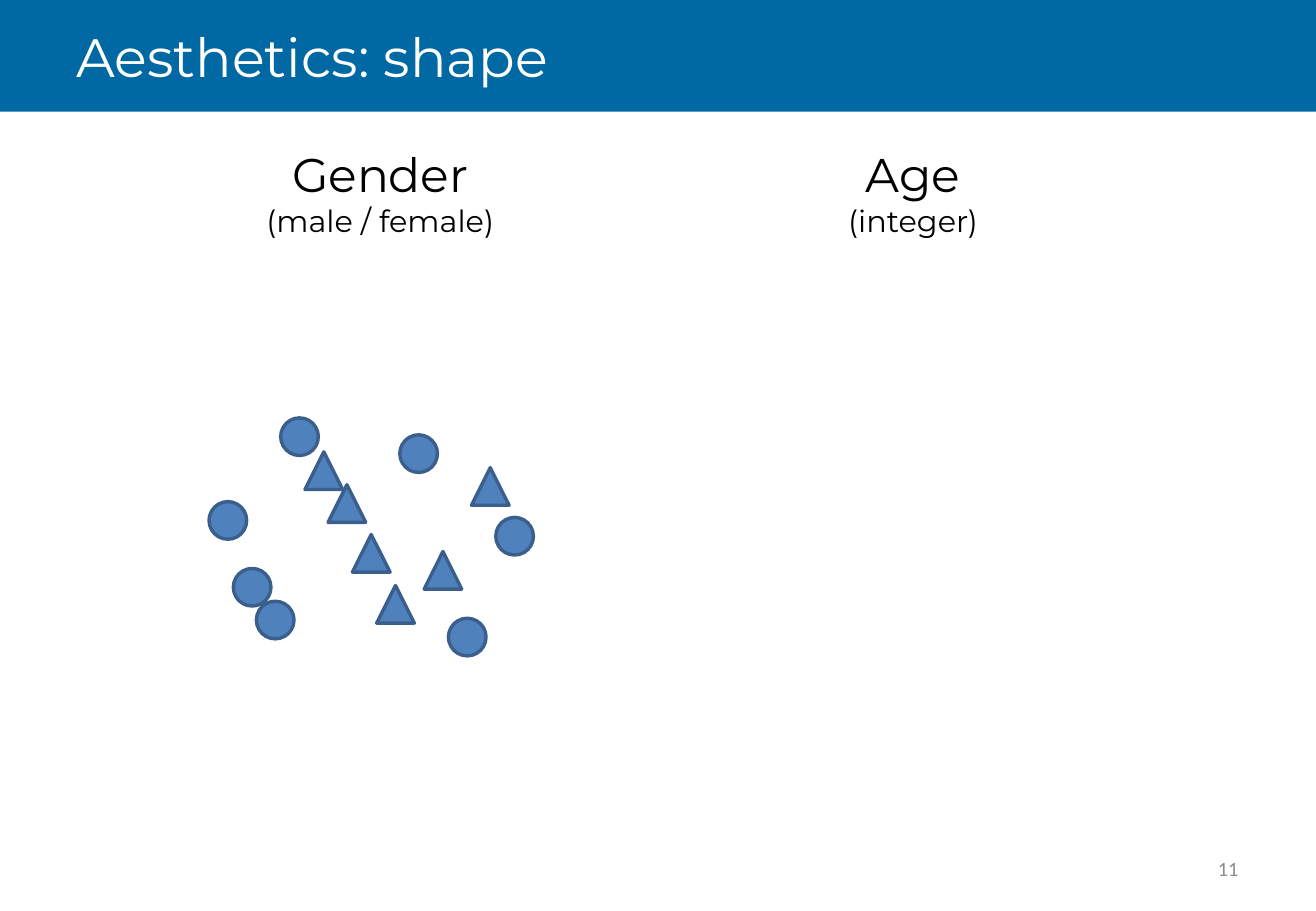
from pptx import Presentation
from pptx.dml.color import RGBColor
from pptx.enum.shapes import MSO_SHAPE
from pptx.enum.text import MSO_ANCHOR, PP_ALIGN
from pptx.util import Emu, Pt

PX = 9144  # 100 px to the inch

BANNER_BLUE = RGBColor(0x00, 0x68, 0xA2)
MARKER_BLUE = RGBColor(0x4F, 0x81, 0xBD)
MARKER_EDGE = RGBColor(0x3A, 0x5F, 0x8C)
WHITE = RGBColor(0xFF, 0xFF, 0xFF)
BLACK = RGBColor(0x00, 0x00, 0x00)
GREY = RGBColor(0x8C, 0x8C, 0x8C)

prs = Presentation()
prs.slide_width = Emu(1083 * PX)
prs.slide_height = Emu(750 * PX)
slide = prs.slides.add_slide(prs.slide_layouts[6])


def add_filled(preset, left, top, width, height, color):
    """Add a flat preset shape without outline or shadow."""
    shape = slide.shapes.add_shape(
        preset, *(Emu(v * PX) for v in (left, top, width, height)))
    shape.shadow.inherit = False
    shape.fill.solid()
    shape.fill.fore_color.rgb = color
    shape.line.fill.background()
    return shape


def add_text(lines, left, top, width, height, color, align=PP_ALIGN.LEFT,
             anchor=MSO_ANCHOR.MIDDLE, font="Montserrat", wrap=True):
    """Add a text box with one paragraph per (text, point size) pair."""
    box = slide.shapes.add_textbox(
        *(Emu(v * PX) for v in (left, top, width, height)))
    frame = box.text_frame
    frame.word_wrap = wrap
    frame.vertical_anchor = anchor
    frame.text = "\n".join(text for text, _ in lines)
    for paragraph, (_, size) in zip(frame.paragraphs, lines):
        paragraph.alignment = align
        run_font = paragraph.runs[0].font
        run_font.name = font
        run_font.size = Pt(size)
        run_font.color.rgb = color


# Title banner and slide number
add_filled(MSO_SHAPE.RECTANGLE, 0, 0, 1083, 92, BANNER_BLUE)
add_text([("Aesthetics: shape", 32)], 53, 0, 975, 92, WHITE)
add_text([("11", 12)], 776, 695, 253, 40, GREY, PP_ALIGN.RIGHT, font="Calibri")

# Variable headings
for variable, values, left, width in [
    ("Gender", "(male / female)", 206, 214),
    ("Age", "(integer)", 686, 131),
]:
    add_text([(variable, 28), (values, 18)], left, 115, width, 88, BLACK,
             PP_ALIGN.CENTER, MSO_ANCHOR.TOP, wrap=False)

# Scatter: one marker per column, each in its own row of a 13 x 13 grid
CIRCLE, TRIANGLE = MSO_SHAPE.OVAL, MSO_SHAPE.ISOSCELES_TRIANGLE
SCATTER_LEFT, SCATTER_TOP = 172, 344
SCATTER_WIDTH, SCATTER_HEIGHT = 236, 165
MARKER_SIZE = 31
markers = [
    (CIRCLE, 5), (CIRCLE, 9), (CIRCLE, 11), (CIRCLE, 0), (TRIANGLE, 2),
    (TRIANGLE, 4), (TRIANGLE, 7), (TRIANGLE, 10), (CIRCLE, 1), (TRIANGLE, 8),
    (CIRCLE, 12), (TRIANGLE, 3), (CIRCLE, 6),
]
steps = len(markers) - 1
for column, (preset, row) in enumerate(markers):
    marker = add_filled(
        preset,
        SCATTER_LEFT + round(column * SCATTER_WIDTH / steps),
        SCATTER_TOP + round(row * SCATTER_HEIGHT / steps),
        MARKER_SIZE, MARKER_SIZE, MARKER_BLUE)
    marker.line.color.rgb = MARKER_EDGE
    marker.line.width = Pt(2)

prs.save("out.pptx")
